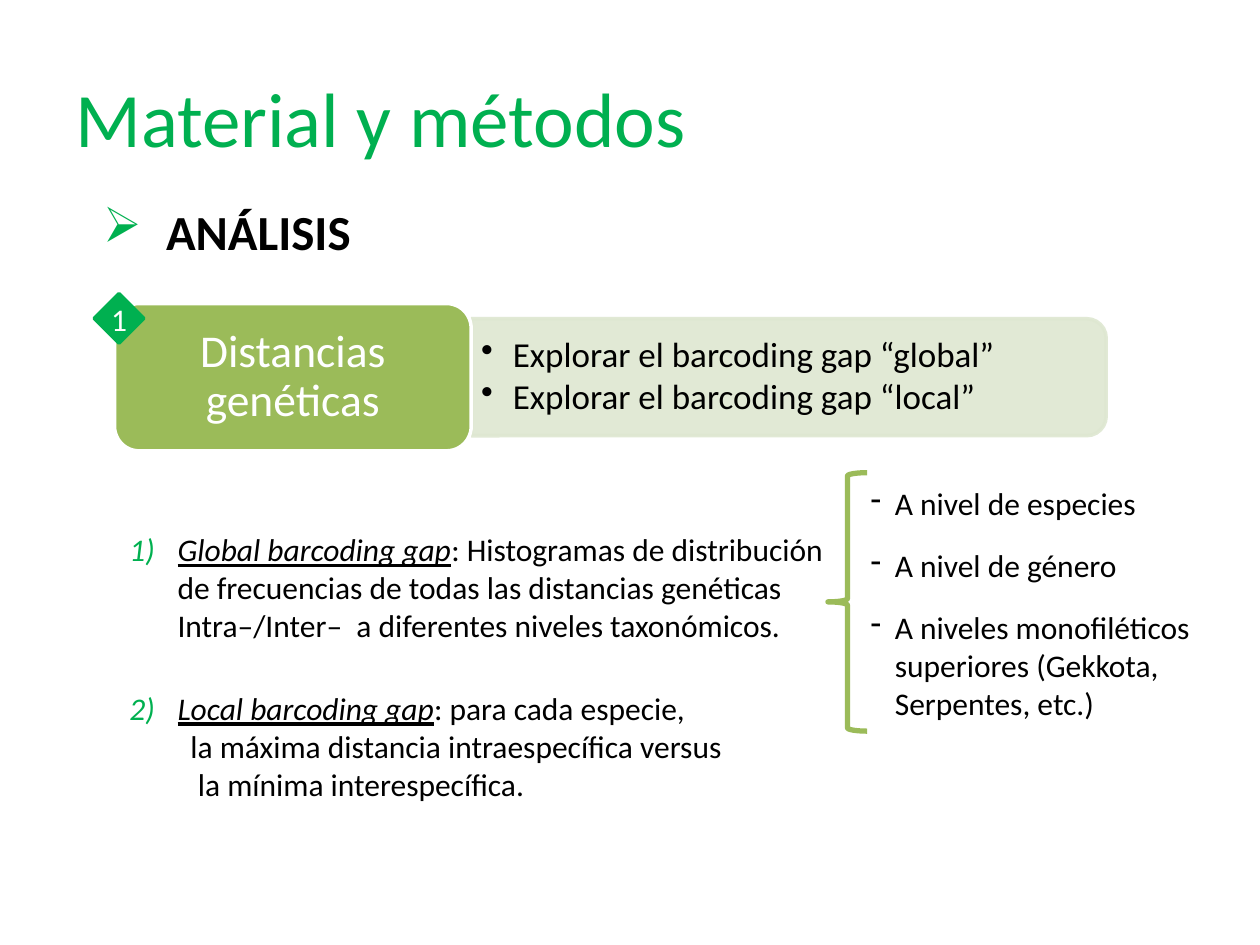
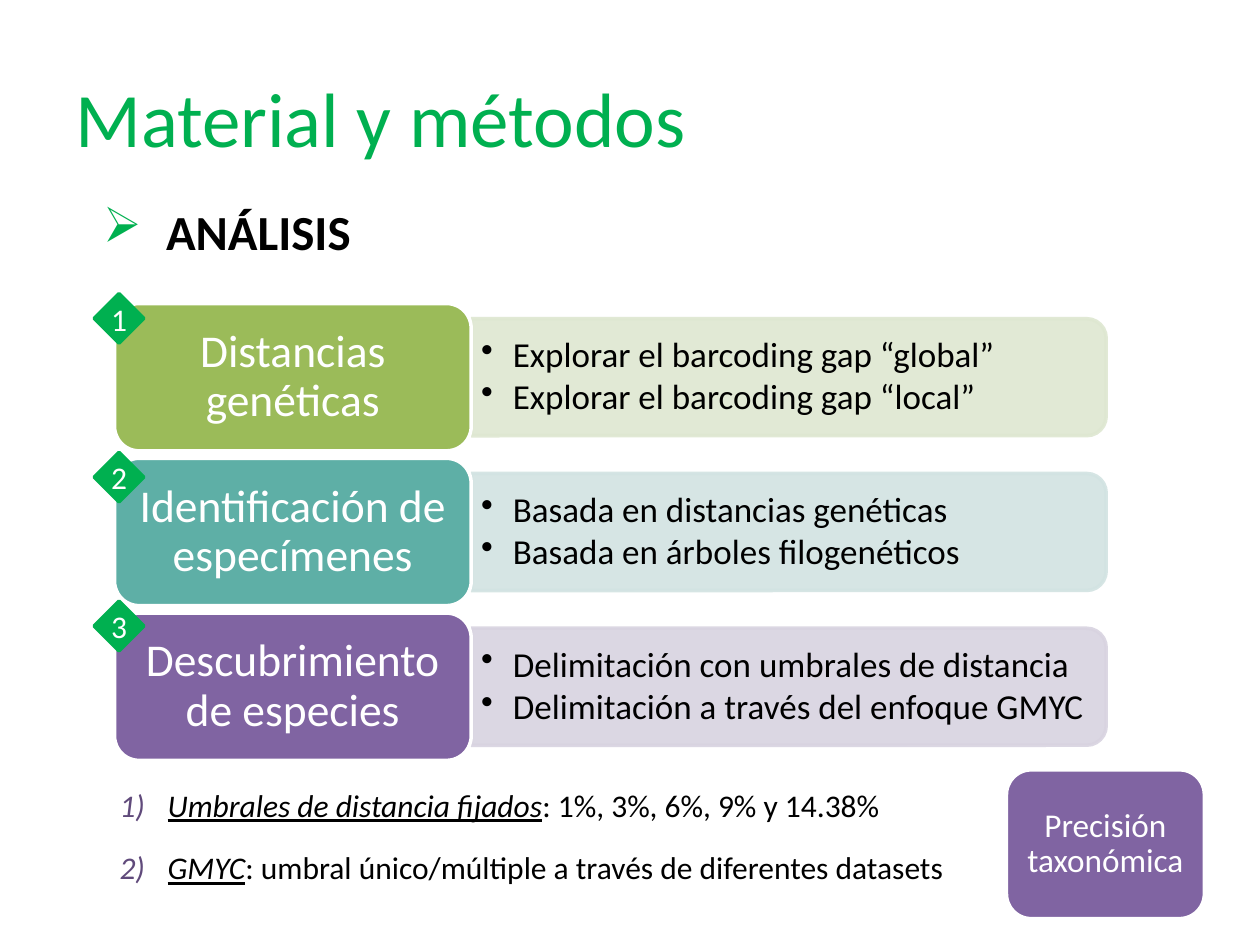
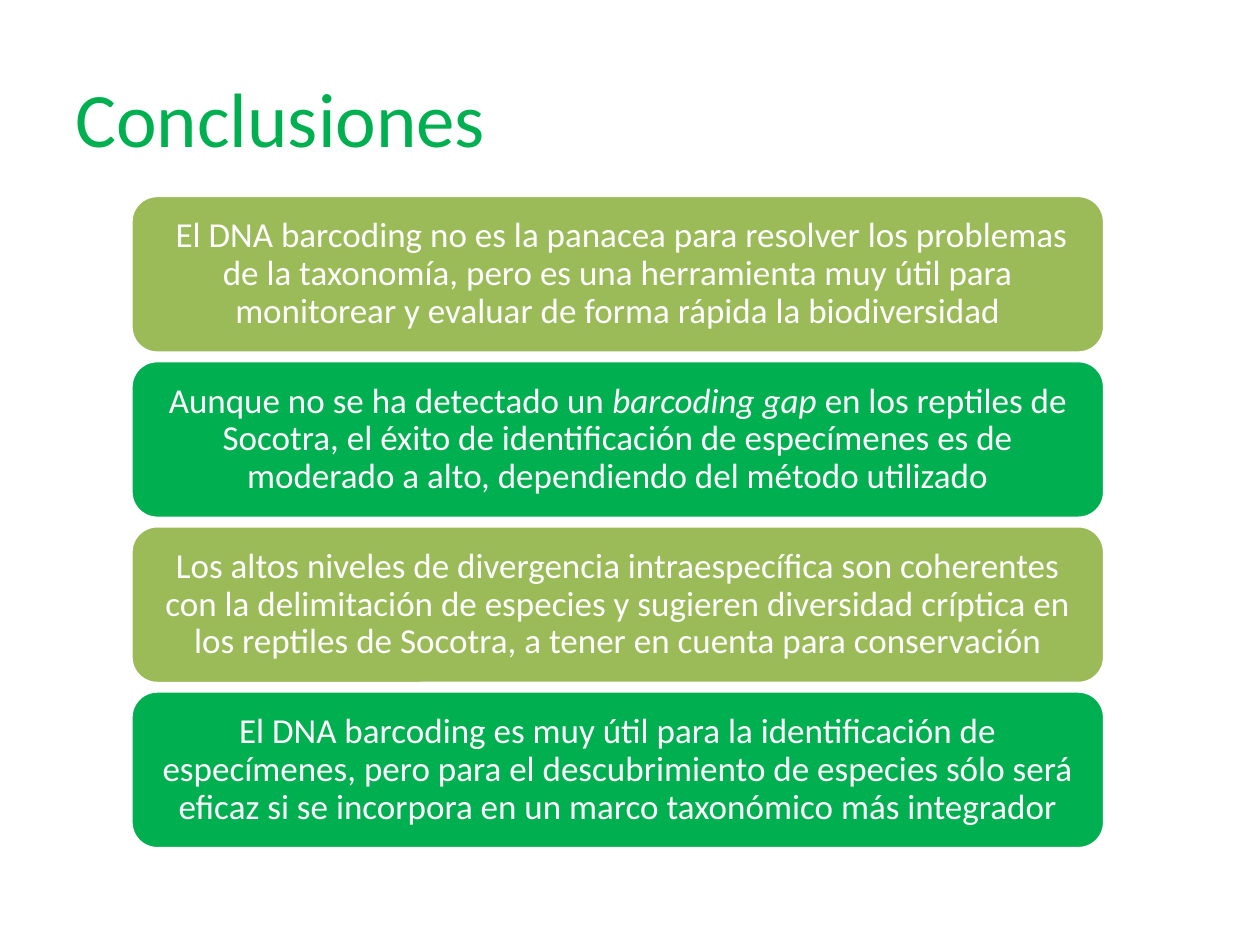
from lxml import etree
from pptx import Presentation
from pptx.dml.color import RGBColor
from pptx.enum.shapes import MSO_SHAPE
from pptx.enum.text import MSO_ANCHOR, PP_ALIGN
from pptx.oxml.ns import qn
from pptx.util import Cm, Pt

ROUNDED = MSO_SHAPE.ROUNDED_RECTANGLE
TAB = MSO_SHAPE.ROUND_2_SAME_RECTANGLE
DIAMOND = MSO_SHAPE.DIAMOND
BRACE = MSO_SHAPE.LEFT_BRACE
MIDDLE, TOP = MSO_ANCHOR.MIDDLE, MSO_ANCHOR.TOP
LEFT, CENTER = PP_ALIGN.LEFT, PP_ALIGN.CENTER

FONT = "Calibri"
GREEN, OLIVE, TEAL, PURPLE = "00B050", "9BBB59", "5EAFA6", "8064A2"
DARK_PURPLE, BLACK, WHITE = "604A7B", "000000", "FFFFFF"

# Content: a paragraph is a list of (text, style) spans; "i" italic, "u" underlined
METHODS = "Material y métodos"
ANALYSES = [
    ("Distancias genéticas", OLIVE, "DEE7D1",
     ["Explorar el barcoding gap “global”", "Explorar el barcoding gap “local”"]),
    ("Identificación de especímenes", TEAL, "D2E3E2",
     ["Basada en distancias genéticas", "Basada en árboles filogenéticos"]),
    ("Descubrimiento de especies", PURPLE, "D8D3E0",
     ["Delimitación con umbrales de distancia", "Delimitación a través del enfoque GMYC"]),
]
GLOBAL_GAP = [("Global barcoding gap", "iu"),
              (": Histogramas de distribución de frecuencias de todas las distancias "
               "genéticas Intra–/Inter–  a diferentes niveles taxonómicos.", "")]
LOCAL_GAP = [("Local barcoding gap", "iu"), (": para cada especie,", "")]
LOCAL_GAP_REST = [("la máxima distancia intraespecífica versus", 2.5),
                  ("la mínima interespecífica.", 2.65)]
LEVELS = ["A nivel de especies", "A nivel de género",
          "A niveles monofiléticos superiores (Gekkota, Serpentes, etc.)"]
DELIMITATION = [
    [("Umbrales de distancia fijados", "iu"), (": 1%, 3%, 6%, 9% y 14.38%", "")],
    [("GMYC", "iu"), (": umbral único/múltiple a través de diferentes datasets", "")],
]
CONCLUSIONS = [
    [(" El DNA barcoding no es la panacea para resolver los problemas de la taxonomía, pero es "
      "una herramienta muy útil para monitorear y evaluar de forma rápida la biodiversidad", "")],
    [("Aunque no se ha detectado un ", ""), ("barcoding gap ", "i"),
     ("en los reptiles de Socotra, el éxito de identificación de especímenes es de moderado "
      "a alto, dependiendo del método utilizado", "")],
    [("Los altos niveles de divergencia intraespecífica son coherentes con la delimitación de "
      "especies y sugieren diversidad críptica en los reptiles de Socotra, a tener en cuenta "
      "para conservación", "")],
    [("El DNA barcoding es muy útil para la identificación de especímenes, pero para el "
      "descubrimiento de especies sólo será eficaz si se incorpora en un marco taxonómico "
      "más integrador", "")],
]

# Layout in centimetres
LABEL_LEFT, LABEL_TOP, LABEL_WIDTH, LABEL_HEIGHT, LABEL_PITCH = 2.31, 6.12, 7.19, 2.97, 3.12
DETAIL_WIDTH, DETAIL_HEIGHT = 12.8, 2.36
BADGE_LEFT, BADGE_TOPS, BADGE_SIZE = 1.9, (5.92, 9.12, 12.12), 1
NUMBER_INDENT, NUMBER_HANG = 2.24, 0.97


def color(value):
    return RGBColor.from_string(value)


def write(frame, spans, size, fill=BLACK, bold=False, align=LEFT, spacing=None, before=0,
          after=0, indent=0, hang=0, bullet=None, number=None, bullet_color=None):
    """Add one paragraph, using the empty first one if it is still free."""
    first = frame.paragraphs[0]
    para = frame.add_paragraph() if first.runs else first
    para.alignment = align
    para.line_spacing = spacing
    para.space_before, para.space_after = Pt(before), Pt(after)
    props = para._p.get_or_add_pPr()
    props.set("marL", str(Cm(indent)))
    props.set("indent", str(-Cm(hang)))
    if bullet_color:
        paint = etree.SubElement(props, qn("a:buClr"))
        etree.SubElement(paint, qn("a:srgbClr"), val=bullet_color)
    if bullet:
        etree.SubElement(props, qn("a:buChar"), char=bullet)
    elif number:
        mark = etree.SubElement(props, qn("a:buAutoNum"), type="arabicParenR")
        if number > 1:
            mark.set("startAt", str(number))
    else:
        etree.SubElement(props, qn("a:buNone"))
    for text, style in [(spans, "")] if isinstance(spans, str) else spans:
        span = para.add_run()
        span.text = text
        font = span.font
        font.name, font.size, font.bold = FONT, Pt(size), bold
        font.italic, font.underline = "i" in style, "u" in style
        font.color.rgb = color(fill)


def prepare(frame, anchor, inset=None):
    frame.word_wrap = True
    frame.vertical_anchor = anchor
    if inset is not None:
        frame.margin_left = frame.margin_right = Cm(inset)
        frame.margin_top = frame.margin_bottom = Cm(min(inset, 0.1))
    return frame


def add_text(page, left, top, width, height, anchor=TOP, inset=None):
    box = page.shapes.add_textbox(Cm(left), Cm(top), Cm(width), Cm(height))
    return prepare(box.text_frame, anchor, inset)


def add_shape(page, kind, left, top, width, height, fill, line, weight=2):
    shape = page.shapes.add_shape(kind, Cm(left), Cm(top), Cm(width), Cm(height))
    shape.shadow.inherit = False
    if fill:
        shape.fill.solid()
        shape.fill.fore_color.rgb = color(fill)
    else:
        shape.fill.background()
    shape.line.color.rgb = color(line)
    shape.line.width = Pt(weight)
    return shape


def add_card(page, left, top, width, height, fill, spans, size):
    card = add_shape(page, ROUNDED, left, top, width, height, fill, WHITE)
    write(prepare(card.text_frame, MIDDLE, 0.2), spans, size, WHITE, align=CENTER, spacing=0.9)


def add_page(deck, title):
    page = deck.slides.add_slide(deck.slide_layouts[6])
    write(add_text(page, 1.27, 0.76, 22.86, 3.18, MIDDLE), title, 44, GREEN)
    return page


def add_analysis(page, index):
    """Add a label with its detail tab to the right."""
    label, fill, tint, details = ANALYSES[index]
    top = LABEL_TOP + index * LABEL_PITCH
    middle = top + LABEL_HEIGHT / 2
    left = LABEL_LEFT + LABEL_WIDTH
    tab = add_shape(page, TAB, left + (DETAIL_WIDTH - DETAIL_HEIGHT) / 2,
                    middle - DETAIL_WIDTH / 2, DETAIL_HEIGHT, DETAIL_WIDTH, tint, tint)
    tab.rotation = 90
    for paint in tab._element.spPr.iter(qn("a:srgbClr")):
        etree.SubElement(paint, qn("a:alpha"), val="90000")
    frame = add_text(page, left, middle - DETAIL_HEIGHT / 2, DETAIL_WIDTH, DETAIL_HEIGHT,
                     MIDDLE, 0.2)
    for detail in details:
        write(frame, detail, 20, spacing=0.9, after=2.5, indent=0.64, hang=0.64, bullet="•")
    add_card(page, LABEL_LEFT, top, LABEL_WIDTH, LABEL_HEIGHT, fill, label, 26)


def add_methods_page(deck, count):
    page = add_page(deck, METHODS)
    write(add_text(page, 1.83, 3.94, 23.57, 1.45), "ANÁLISIS", 28, bold=True,
          indent=1.27, hang=1.27, bullet="➢", bullet_color=GREEN)
    for index in range(count):
        add_analysis(page, index)
    for index in range(count):
        badge = add_shape(page, DIAMOND, BADGE_LEFT, BADGE_TOPS[index], BADGE_SIZE, BADGE_SIZE,
                          GREEN, GREEN)
        frame = prepare(badge.text_frame, MIDDLE)
        frame.margin_left = frame.margin_right = 0
        write(frame, str(index + 1), 18, WHITE, align=CENTER)
    return page


def write_numbered(frame, spans, number, bullet_color, before=0):
    write(frame, spans, 18, before=before, indent=NUMBER_INDENT, hang=NUMBER_HANG,
          number=number, bullet_color=bullet_color)


def build_distances(deck):
    page = add_methods_page(deck, 1)
    write_numbered(add_text(page, 1.09, 10.57, 15.85, 2.57), GLOBAL_GAP, 1, GREEN)
    frame = add_text(page, 1.09, 13.77, 18, 2.57)
    write_numbered(frame, LOCAL_GAP, 2, GREEN)
    for line, indent in LOCAL_GAP_REST:
        write(frame, line, 18, indent=indent)
    # Taxonomic levels behind a brace
    add_shape(page, BRACE, 16.69, 9.53, 0.79, 5.21, None, OLIVE, 3)
    frame = add_text(page, 17.3, 9.63, 7.39, 5.89)
    for index, level in enumerate(LEVELS):
        write(frame, level, 18, before=14 if index else 0, indent=0.49, hang=0.49, bullet="-")


def build_delimitation(deck):
    page = add_methods_page(deck, len(ANALYSES))
    frame = add_text(page, 0.89, 15.72, 21.79, 2.31)
    for index, spans in enumerate(DELIMITATION):
        write_numbered(frame, spans, 1, DARK_PURPLE, before=14 if index else 0)
    add_card(page, 20.29, 15.52, 3.99, 3, PURPLE, "Precisión taxonómica", 19)


def build_conclusions(deck):
    page = add_page(deck, "Conclusiones")
    for index, spans in enumerate(CONCLUSIONS):
        add_card(page, 2.64, 3.94 + index * 3.33, 19.63, 3.18, (OLIVE, GREEN)[index % 2],
                 spans, 20)


def main():
    deck = Presentation()
    deck.slide_width, deck.slide_height = Cm(25.4), Cm(19.05)
    build_distances(deck)
    build_delimitation(deck)
    build_conclusions(deck)
    deck.save("out.pptx")


if __name__ == "__main__":
    main()
